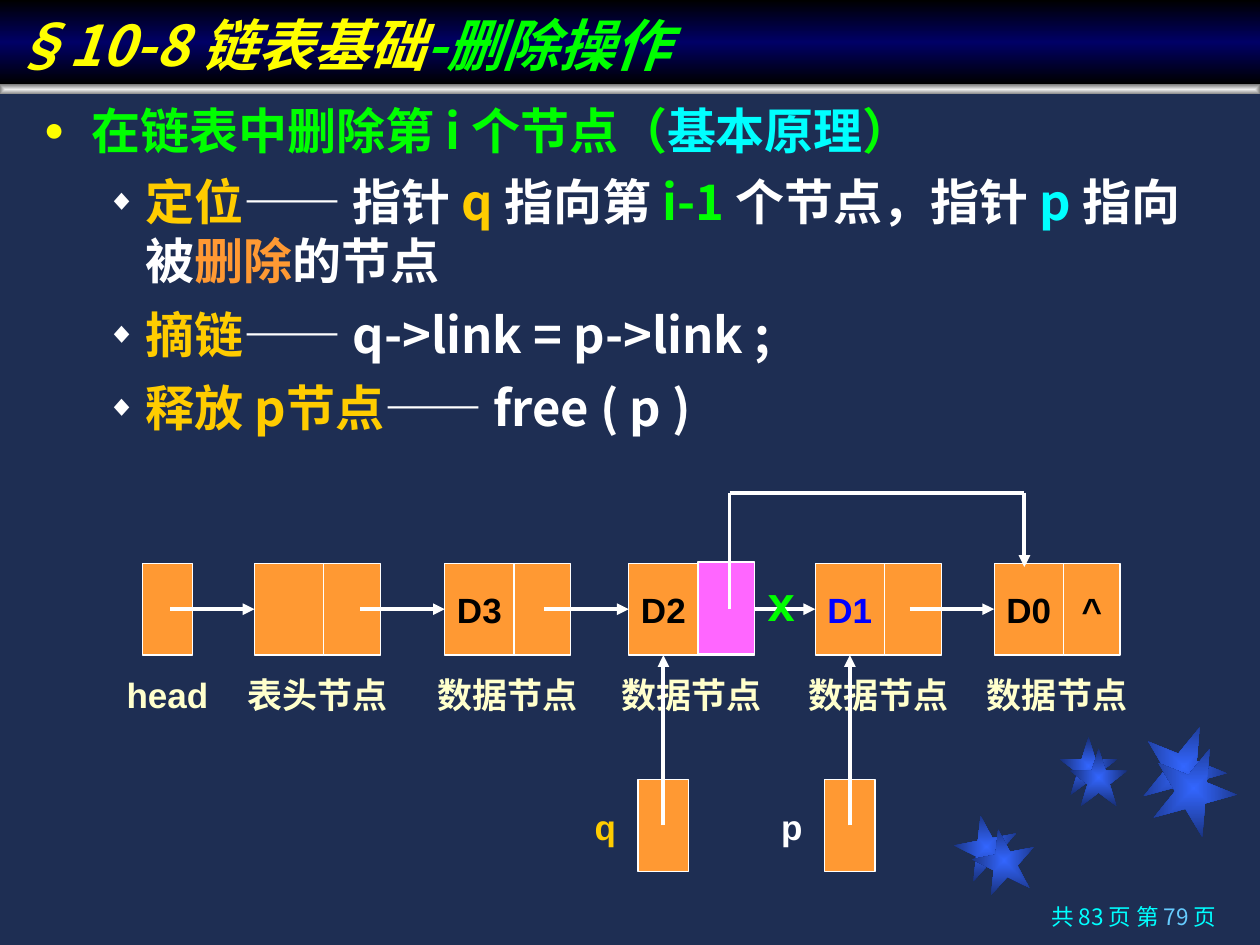
from dataclasses import dataclass

from lxml import etree
from pptx import Presentation
from pptx.dml.color import RGBColor
from pptx.enum.shapes import MSO_CONNECTOR, MSO_SHAPE
from pptx.enum.text import MSO_ANCHOR, PP_ALIGN
from pptx.oxml.ns import qn
from pptx.util import Inches, Pt

RECT, STAR = MSO_SHAPE.RECTANGLE, MSO_SHAPE.STAR_5_POINT
STRAIGHT = MSO_CONNECTOR.STRAIGHT
TOP, MIDDLE, BOTTOM = MSO_ANCHOR.TOP, MSO_ANCHOR.MIDDLE, MSO_ANCHOR.BOTTOM
LEFT, CENTER, RIGHT = PP_ALIGN.LEFT, PP_ALIGN.CENTER, PP_ALIGN.RIGHT
LEFT_SIDE, BOTTOM_SIDE = 1, 2
COLS, ROWS = 100, 75
SLIDE_W, SLIDE_H = Inches(10), Inches(7.5)


@dataclass(frozen=True)
class Theme:
    """Colours, fonts and type sizes of the slide."""
    back: str = "1E2E53"
    white: str = "FFFFFF"
    black: str = "000000"
    yellow: str = "FFFF00"
    green: str = "00FF00"
    cyan: str = "00FFFF"
    gold: str = "FFCC00"
    orange: str = "FF9933"
    pink: str = "FF66FF"
    blue: str = "0000FF"
    cream: str = "FFFFCC"
    sky: str = "66CCFF"
    star: tuple = ("3366FF", "182F76")
    rule: tuple = ("EDEDED", "808080")
    band: tuple = ("000000", "000066", "000000")
    cjk: str = "Noto Sans CJK SC"
    latin: str = "Arial"
    title: float = 32
    body: float = 28
    label: float = 20
    footer: float = 12.9
    thin: float = 0.75
    thick: float = 2.25


T = Theme()


def col(n):
    """Length of n grid columns."""
    return round(SLIDE_W * n / COLS)


def row(n):
    """Length of n grid rows."""
    return round(SLIDE_H * n / ROWS)


def cells(box):
    """Turn a box in grid units into slide lengths."""
    x, y, w, h = box
    return col(x), row(y), col(w), row(h)


def add_run(p, text, color, size, font=T.cjk, bold=True, italic=False):
    """Add one formatted run to a paragraph."""
    r = p.add_run()
    r.text = text
    f = r.font
    f.size, f.bold, f.italic, f.name = Pt(size), bold, italic, font
    f.color.rgb = RGBColor.from_string(color)
    etree.SubElement(r._r.get_or_add_rPr(), qn("a:ea")).set("typeface", T.cjk)


def frame(sp, anchor=TOP, wrap=True, align=LEFT):
    """Prepare a text frame and return its first paragraph."""
    tf = sp.text_frame
    tf.word_wrap, tf.vertical_anchor = wrap, anchor
    p = tf.paragraphs[0]
    p.alignment = align
    return p


def add_label(s, center, y, w, h, text, color, size=T.label):
    """Add a one-line label centred on a column."""
    sp = s.shapes.add_textbox(*cells((center - w / 2, y, w, h)))
    sp.text_frame.margin_left = sp.text_frame.margin_right = 0
    add_run(frame(sp, MIDDLE, False, CENTER), text, color, size, T.latin)


def add_plain(s, kind, box):
    """Add a preset shape with neither shadow nor outline."""
    sp = s.shapes.add_shape(kind, *cells(box))
    sp.shadow.inherit = False
    sp.line.fill.background()
    return sp


def add_cell(s, box, text="", color=T.black, fill=T.orange):
    """Add one field of a list node."""
    sp = add_plain(s, RECT, box)
    sp.fill.solid()
    sp.fill.fore_color.rgb = RGBColor.from_string(fill)
    sp.line.color.rgb = RGBColor.from_string(T.white)
    sp.line.width = Pt(T.thin)
    if text:
        add_run(frame(sp, MIDDLE, False, CENTER), text, color, T.label, T.latin)
    return sp


def add_line(s, x1, y1, x2, y2, arrow=True, target=None, side=0):
    """Add a white line, with an arrowhead and a joined end on request."""
    c = s.shapes.add_connector(STRAIGHT, col(x1), row(y1), col(x2), row(y2))
    c.line.color.rgb = RGBColor.from_string(T.white)
    c.line.width = Pt(T.thick)
    if arrow:
        etree.SubElement(c.line._get_or_add_ln(), qn("a:tailEnd")).set("type", "triangle")
    etree.SubElement(c._element.spPr, qn("a:effectLst"))
    if target is not None:
        c.end_connect(target, side)


def add_gradient(sp, colors, angle=None):
    """Fill evenly spaced stops, along an angle or out from the centre."""
    sp.fill.gradient()
    grad = sp._element.spPr.find(qn("a:gradFill"))
    for child in list(grad):
        grad.remove(child)
    stops = etree.SubElement(grad, qn("a:gsLst"))
    for i, color in enumerate(colors):
        gs = etree.SubElement(stops, qn("a:gs"), pos=str(100000 * i // (len(colors) - 1)))
        etree.SubElement(gs, qn("a:srgbClr"), val=color)
    if angle is None:
        path = etree.SubElement(grad, qn("a:path"), path="rect")
        etree.SubElement(path, qn("a:fillToRect"), **dict.fromkeys("ltrb", "50000"))
    else:
        etree.SubElement(grad, qn("a:lin"), ang=str(angle * 60000), scaled="0")


def set_bullet(p, char, color, percent, margin, hang):
    """Give a paragraph a hanging bullet."""
    pPr = p._p.get_or_add_pPr()
    pPr.set("marL", str(col(margin)))
    pPr.set("indent", str(-col(hang)))
    clr = etree.SubElement(pPr, qn("a:buClr"))
    etree.SubElement(clr, qn("a:srgbClr"), val=color)
    etree.SubElement(pPr, qn("a:buSzPct"), val=str(percent * 1000))
    etree.SubElement(pPr, qn("a:buFont"), typeface=T.latin)
    etree.SubElement(pPr, qn("a:buChar"), char=char)


def draw_stars(s, box):
    """Place three pairs of overlapping stars."""
    left, top, _, _ = box
    for x, y, size, turn, dx, dy in ((0, 7.2, 5, 349, 1.4, 1.1), (8.3, 1, 4.6, 0, 0.8, 0.9),
                                     (14.8, 0, 6.7, 22, 0.8, 1.7)):
        for k in (0, 1):
            sp = add_plain(s, STAR, (left + x + k * dx, top + y + k * dy, size, size))
            sp.rotation = turn
            add_gradient(sp, T.star)


def draw_title(s, box):
    """Place the title band and the rule under it."""
    x, y, w, h = box
    add_gradient(add_plain(s, RECT, (x, y + h, w, 0.8)), T.rule)
    band = add_plain(s, RECT, box)
    add_gradient(band, T.band, 90)
    p = frame(band, BOTTOM)
    for text, color in (("§10-8 链表基础", T.yellow), ("-删除操作", T.green)):
        add_run(p, text, color, T.title, italic=True)


def draw_steps(s, box):
    """Place the heading and the three steps of the deletion."""
    x, y, w, h = box
    tf_box = s.shapes.add_textbox(*cells((x, y, w, h)))
    p = frame(tf_box)
    set_bullet(p, "●", T.yellow, 70, 3.8, 3.8)
    for text, color in (("在链表中删除第 i 个节点（", T.green), ("基本原理", T.cyan), ("）", T.green)):
        add_run(p, text, color, T.body)
    locate = (("定位", T.gold), ("——", T.white, T.latin), (" 指针 ", T.white), ("q ", T.gold),
              ("指向第 ", T.white), ("i-1 ", T.green), ("个节点，指针 ", T.white), ("p ", T.cyan),
              ("指向被", T.white), ("删除", T.orange), ("的节点", T.white))
    p = tf_box.text_frame.add_paragraph()
    p.space_before = Pt(7)
    steps = [(p, locate)]
    for i, (name, code) in enumerate((("摘链", "q->link = p->link ;"), ("释放 p节点", "free ( p )"))):
        p = frame(s.shapes.add_textbox(*cells((x, y + h + 5.8 * i, 90, 5.8))))
        p.line_spacing = 0.9
        steps.append((p, ((name, T.gold), ("—— ", T.white, T.latin), (code, T.white))))
    for p, runs in steps:
        p.level = 1
        set_bullet(p, "◆", T.white, 60, 8.1, 3.1)
        for text, color, *font in runs:
            add_run(p, text, color, T.body, *font)


def draw_list(s, box):
    """Place the linked list, its pointers and the bypass link."""
    x, y, _, h = box
    data, link, reach, mid = 5.5, 4.5, 6.7, y + h / 2
    add_cell(s, (x, y, 4, h))
    add_label(s, x + 2, y + 8, 8.3, 4.8, "head", T.cream)
    nodes = []
    for dx, text, color, end, name in (
            (8.9, "", T.black, "", "表头节点"), (24, "D3", T.black, "", "数据节点"),
            (38.6, "D2", T.black, "", "数据节点"), (53.4, "D1", T.blue, "", "数据节点"),
            (67.6, "D0", T.black, "^", "数据节点")):
        nodes.append(add_cell(s, (x + dx, y, data, h), text, color))
        add_cell(s, (x + dx + data, y, link, h), end)
        add_label(s, x + dx + (data + link) / 2, y + 8, 13, 4.8, name, T.cream)
    for node in nodes:
        end = node.left / col(1)
        add_line(s, end - reach, mid, end, mid, target=node, side=LEFT_SIDE)
    for name, color, node in (("q", T.gold, nodes[2]), ("p", T.white, nodes[3])):
        center = (node.left + node.width / 2) / col(1)
        add_cell(s, (center - 2, y + 17.15, 4, h))
        add_label(s, center - 4.6, y + 18.5, 4.4, 4.8, name, color)
        add_line(s, center, y + 20.8, center, y + h, target=node, side=BOTTOM_SIDE)
    add_cell(s, (x + 44.1, y - 0.1, link, h), fill=T.pink)
    start, end, over = x + 46.6, x + 70, y - 5.6
    add_line(s, start, mid, start, over, False)
    add_line(s, start, over, end, over, False)
    add_line(s, end, over, end, y + 0.3)
    add_label(s, x + 50.7, y + 1.4, 4, 3.3, "x", T.green, T.body)


def draw_footer(s, box):
    """Place the page count."""
    p = frame(s.shapes.add_textbox(*cells(box)), align=RIGHT)
    p.line_spacing = 0.9
    for text, color in (("共 83 页 第 ", T.cyan), ("79 ", T.sky), ("页", T.cyan)):
        add_run(p, text, color, T.footer, bold=False)


def main():
    """Build and save the slide."""
    prs = Presentation()
    prs.slide_width, prs.slide_height = SLIDE_W, SLIDE_H
    s = prs.slides.add_slide(prs.slide_layouts[6])
    s.background.fill.solid()
    s.background.fill.fore_color.rgb = RGBColor.from_string(T.back)
    draw_stars(s, (75.8, 57.5, 22.5, 13.6))
    draw_title(s, (0, 0, COLS, 6.7))
    draw_steps(s, (2.5, 7.5, 94.6, 16.7))
    draw_list(s, (11.3, 44.7, 77.6, 7.3))
    draw_footer(s, (71.2, 71.4, 26.3, 3.6))
    prs.save("out.pptx")


if __name__ == "__main__":
    main()
